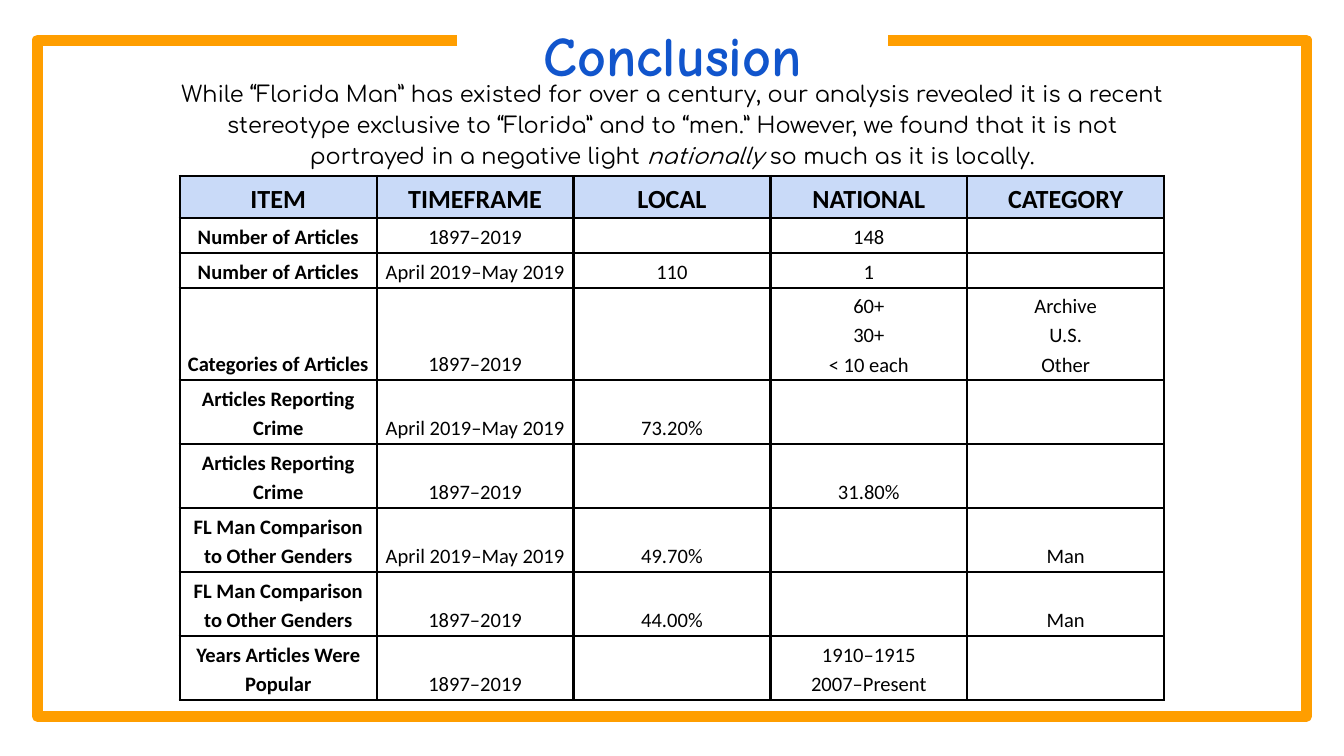
from lxml.etree import SubElement
from pptx import Presentation
from pptx.dml.color import RGBColor
from pptx.enum.text import MSO_ANCHOR, PP_ALIGN
from pptx.oxml.ns import qn
from pptx.util import Cm, Pt

ORANGE = RGBColor(0xFF, 0x9E, 0x00)
BLUE = RGBColor(0x11, 0x55, 0xCC)
PALE_BLUE = RGBColor(0xC9, 0xDA, 0xF8)
BLACK = RGBColor(0x00, 0x00, 0x00)


def add_run(paragraph, text, font, size, color=BLACK, bold=False, italic=False):
    run = paragraph.add_run()
    run.text = text
    run.font.name = font
    run.font.size = Pt(size)
    run.font.color.rgb = color
    run.font.bold = bold
    run.font.italic = italic


def add_borders(cell):
    properties = cell._tc.get_or_add_tcPr()
    for position, side in enumerate(("a:lnL", "a:lnR", "a:lnT", "a:lnB")):
        border = SubElement(properties, qn(side), w=str(Pt(1.5)))
        line_fill = SubElement(border, qn("a:solidFill"))
        SubElement(line_fill, qn("a:srgbClr"), val=str(BLACK))
        properties.insert(position, border)  # borders come before the fill


presentation = Presentation()
presentation.slide_width = Cm(25.4)
presentation.slide_height = Cm(14.29)
slide = presentation.slides.add_slide(presentation.slide_layouts[6])

# Frame, open at the top for the title
left, right, top, bottom = Cm(0.71), Cm(24.69), Cm(0.76), Cm(13.54)
outline = slide.shapes.build_freeform(Cm(8.64), top)
outline.add_line_segments(
    [(left, top), (left, bottom), (right, bottom), (right, top), (Cm(16.79), top)],
    close=False,
)
frame = outline.convert_to_shape()
frame.shadow.inherit = False
frame.fill.background()
frame.line.color.rgb = ORANGE
frame.line.width = Pt(6)

# Title
title = slide.shapes.add_textbox(Cm(9.02), 0, Cm(7.39), Cm(2.03)).text_frame
title.word_wrap = True
title.vertical_anchor = MSO_ANCHOR.MIDDLE
heading = title.paragraphs[0]
heading.alignment = PP_ALIGN.CENTER
add_run(heading, "Conclusion", "Comic Neue", 30, BLUE, bold=True)

# Summary
summary = slide.shapes.add_textbox(Cm(2.97), Cm(1.19), Cm(19.48), Cm(2.29)).text_frame
summary.word_wrap = True
for text_frame in (title, summary):
    text_frame.margin_left = text_frame.margin_right = Cm(0.25)
    text_frame.margin_top = text_frame.margin_bottom = Cm(0.25)
finding = summary.paragraphs[0]
finding.alignment = PP_ALIGN.CENTER
finding.line_spacing = 1.15
add_run(finding, "While “Florida Man” has existed for over a century, our analysis "
        "revealed it is a recent stereotype exclusive to “Florida” and to “men.” "
        "However, we found that it is not portrayed in a negative light ",
        "Comfortaa", 12)
add_run(finding, "nationally", "Comfortaa", 12, italic=True)
add_run(finding, " so much as it is locally.", "Comfortaa", 12)

# Results table
ALL_YEARS = "1897–2019"
SPRING = "April 2019–May 2019"
results = [
    ("ITEM", "TIMEFRAME", "LOCAL", "NATIONAL", "CATEGORY"),
    ("Number of Articles", ALL_YEARS, "", "148", ""),
    ("Number of Articles", SPRING, "110", "1", ""),
    ("Categories of Articles", ALL_YEARS, "", "60+\n30+\n< 10 each",
     "Archive\nU.S.\nOther"),
    ("Articles Reporting Crime", SPRING, "73.20%", "", ""),
    ("Articles Reporting Crime", ALL_YEARS, "", "31.80%", ""),
    ("FL Man Comparison to Other Genders", SPRING, "49.70%", "", "Man"),
    ("FL Man Comparison to Other Genders", ALL_YEARS, "44.00%", "", "Man"),
    ("Years Articles Were Popular", ALL_YEARS, "", "1910–1915\n2007–Present", ""),
]
row_heights = [0.79, 0.66, 0.66, 1.74] + [1.21] * 5
table = slide.shapes.add_table(
    len(results), 5, Cm(3.4), Cm(3.33), Cm(18.6), Cm(sum(row_heights))
).table
for column in table.columns:
    column.width = Cm(3.72)

for row_index, (entries, height) in enumerate(zip(results, row_heights)):
    table.rows[row_index].height = Cm(height)
    is_header = row_index == 0
    size = 14 if is_header else 11
    for column_index, entry in enumerate(entries):
        cell = table.cell(row_index, column_index)
        cell.vertical_anchor = MSO_ANCHOR.BOTTOM
        cell.margin_left = cell.margin_right = Cm(0.08)
        cell.margin_top = cell.margin_bottom = Cm(0.05)
        if is_header:
            cell.fill.solid()
            cell.fill.fore_color.rgb = PALE_BLUE
        else:
            cell.fill.background()
        add_borders(cell)
        for line_index, line in enumerate(entry.split("\n")):
            if line_index:
                paragraph = cell.text_frame.add_paragraph()
            else:
                paragraph = cell.text_frame.paragraphs[0]
            paragraph.alignment = PP_ALIGN.CENTER
            paragraph.line_spacing = 1.15
            if line:
                add_run(paragraph, line, "Calibri", size,
                        bold=is_header or column_index == 0)
            else:
                # Keeps an empty cell from stretching its row
                SubElement(paragraph._p, qn("a:endParaRPr"), sz=str(size * 100))

presentation.save("out.pptx")
